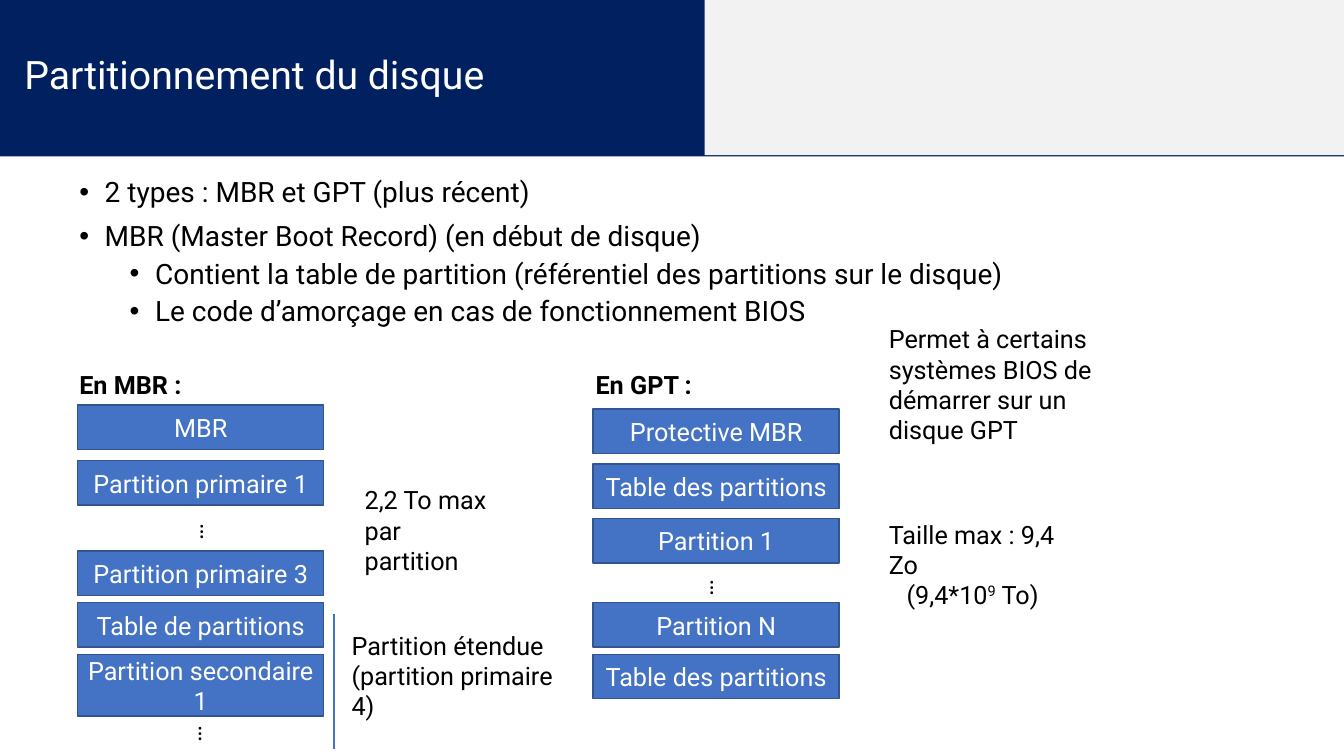
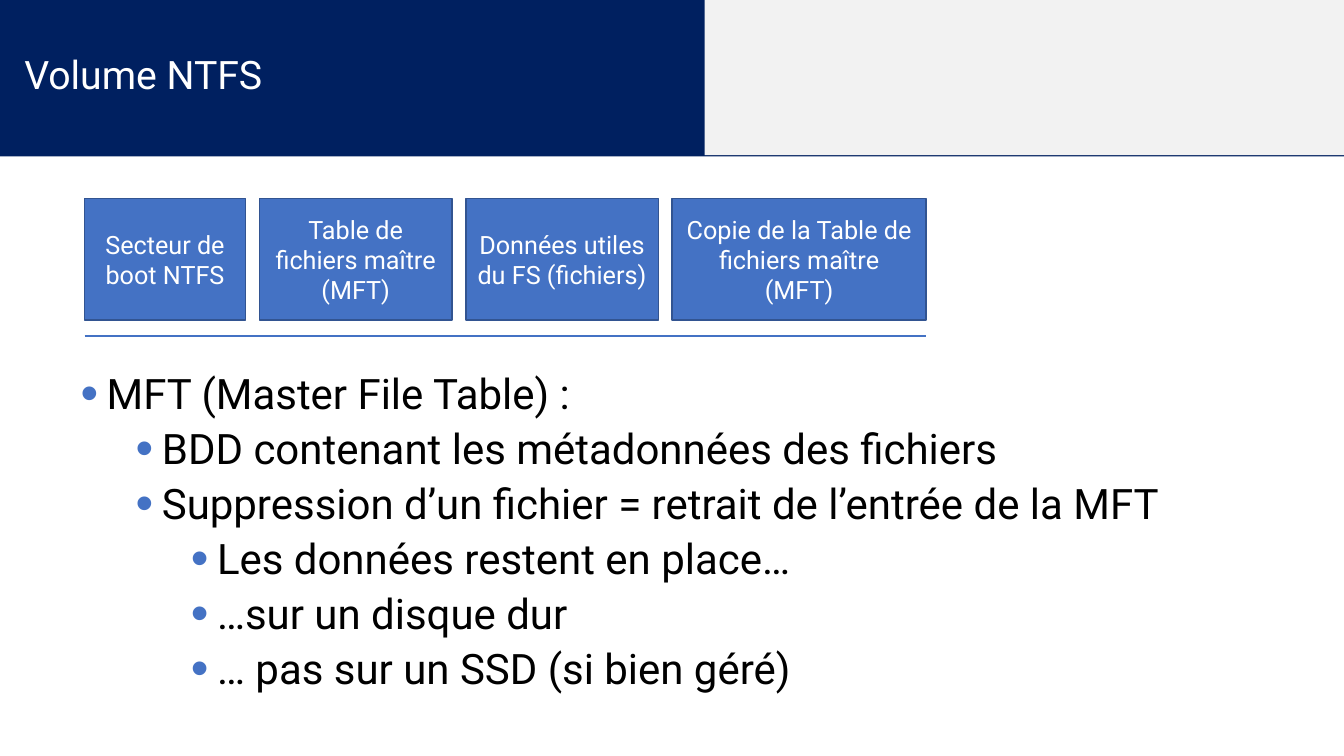
from dataclasses import dataclass
from itertools import chain

from lxml.etree import SubElement
from pptx import Presentation
from pptx.dml.color import RGBColor
from pptx.enum.shapes import MSO_CONNECTOR, MSO_SHAPE
from pptx.enum.text import MSO_ANCHOR, MSO_AUTO_SIZE, PP_ALIGN
from pptx.oxml.ns import qn
from pptx.shapes.autoshape import Shape
from pptx.slide import Slide, SlideLayout
from pptx.text.text import TextFrame
from pptx.util import Cm, Pt


@dataclass(frozen=True)
class Theme:
    font: str = "Roboto"
    navy: str = "002060"
    pale: str = "F2F2F2"
    blue: str = "4472C4"
    edge: str = "325491"
    white: str = "FFFFFF"
    black: str = "000000"
    title: int = 28
    large: int = 30
    list: int = 20
    body: int = 18


@dataclass(frozen=True)
class Box:
    x: float
    y: float
    w: float
    h: float


@dataclass(frozen=True)
class Bit:
    text: str
    bold: bool = False
    sup: bool = False


@dataclass(frozen=True)
class Para:
    bits: tuple[Bit, ...]
    level: int = 0
    align: PP_ALIGN = PP_ALIGN.LEFT


@dataclass(frozen=True)
class Bullet:
    hang: float
    step: float
    gaps: tuple[float, ...]
    color: str = ""
    scale: int = 100


@dataclass(frozen=True)
class Block:
    text: str
    box: Box


@dataclass(frozen=True)
class Label:
    paras: tuple[Para, ...]
    box: Box


THEME = Theme()
WIDE, HIGH = 33.87, 19.05


def line(text: str, level: int = 0, align: PP_ALIGN = PP_ALIGN.LEFT, bold: bool = False) -> Para:
    return Para((Bit(text, bold),), level, align)


def write(
    frame: TextFrame,
    paras: tuple[Para, ...],
    size: int,
    color: str,
    bullet: Bullet | None = None,
    space: float = 1.0,
) -> None:
    for rank, para in enumerate(paras):
        item = frame.add_paragraph() if rank else frame.paragraphs[0]
        item.level = para.level
        item.alignment = para.align
        item.line_spacing = space
        item.space_before = Pt(bullet.gaps[para.level] if bullet and rank else 0)
        if bullet:
            props = item._p.get_or_add_pPr()
            props.set("marL", str(Cm(bullet.hang + bullet.step * para.level)))
            props.set("indent", str(-Cm(bullet.hang)))
            if bullet.color:
                tint = SubElement(props, qn("a:buClr"))
                SubElement(tint, qn("a:srgbClr"), val=bullet.color)
            SubElement(props, qn("a:buSzPct"), val=str(bullet.scale * 1000))
            SubElement(props, qn("a:buFont"), typeface="Arial")
            SubElement(props, qn("a:buChar"), char="•")
        for bit in para.bits:
            run = item.add_run()
            run.text = bit.text
            font = run.font
            font.name = THEME.font
            font.size = Pt(size)
            font.bold = bit.bold
            font.color.rgb = RGBColor.from_string(color)
            if bit.sup:
                font._element.set("baseline", "30000")


def place(shape: Shape, box: Box) -> None:
    shape.left, shape.top = Cm(box.x), Cm(box.y)
    shape.width, shape.height = Cm(box.w), Cm(box.h)


def panel(slide: Slide, box: Box, fill: str, edge: str = "") -> Shape:
    shape = slide.shapes.add_shape(
        MSO_SHAPE.RECTANGLE, Cm(box.x), Cm(box.y), Cm(box.w), Cm(box.h)
    )
    shape.shadow.inherit = False
    shape.fill.solid()
    shape.fill.fore_color.rgb = RGBColor.from_string(fill)
    if edge:
        shape.line.color.rgb = RGBColor.from_string(edge)
        shape.line.width = Pt(1)
    else:
        shape.line.fill.background()
    return shape


def block(slide: Slide, part: Block) -> None:
    frame = panel(slide, part.box, THEME.blue, THEME.edge).text_frame
    frame.word_wrap = True
    frame.vertical_anchor = MSO_ANCHOR.MIDDLE
    write(frame, (line(part.text, align=PP_ALIGN.CENTER),), THEME.body, THEME.white)


def label(slide: Slide, box: Box) -> TextFrame:
    frame = slide.shapes.add_textbox(Cm(box.x), Cm(box.y), Cm(box.w), Cm(box.h)).text_frame
    frame.word_wrap = True
    return frame


def dots(slide: Slide, x: float, y: float) -> None:
    frame = label(slide, Box(x, y, 1.37, 0.84))
    frame.word_wrap = False
    frame._txBody.bodyPr.set("vert", "eaVert")
    write(frame, (line("…"),), THEME.body, THEME.black)


def rule(slide: Slide, x: float, y: float, end: float, base: float) -> None:
    link = slide.shapes.add_connector(MSO_CONNECTOR.STRAIGHT, Cm(x), Cm(y), Cm(end), Cm(base))
    link.line.color.rgb = RGBColor.from_string(THEME.blue)
    link.line.width = Pt(1.5)
    SubElement(link._element.spPr, qn("a:effectLst"))


def bands(slide: Slide, layout: SlideLayout) -> None:
    parts = (
        (Box(0, 0, WIDE, 3.94), THEME.navy),
        (Box(17.76, 0, WIDE - 17.76, 3.91), THEME.pale),
    )
    for rank, (box, fill) in enumerate(parts):
        layout.shapes.element.insert(2 + rank, panel(slide, box, fill).element)


def head(slide: Slide, text: str) -> None:
    title = slide.shapes.title
    place(title, Box(0.36, 0.41, 18.16, 3.07))
    frame = title.text_frame
    frame.word_wrap = True
    frame.auto_size = MSO_AUTO_SIZE.NONE
    frame.vertical_anchor = MSO_ANCHOR.MIDDLE
    write(frame, (line(text),), THEME.title, THEME.white, space=0.9)


def stack(x: float, rows: tuple[tuple[str, float], ...]) -> tuple[Block, ...]:
    return tuple(Block(text, Box(x, y, 6.2, 1.12)) for text, y in rows)


def disk(slide: Slide) -> None:
    head(slide, "Partitionnement du disque")
    points = (
        line("2 types : MBR et GPT (plus récent)"),
        line("MBR (Master Boot Record) (en début de disque)"),
        line("Contient la table de partition (référentiel des partitions sur le disque)", 1),
        line("Le code d’amorçage en cas de fonctionnement BIOS", 1),
    )
    frame = label(slide, Box(1.75, 4.37, 24.74, 5.16))
    write(frame, points, THEME.list, THEME.black, Bullet(0.64, 1.27, (10, 5)), 0.9)

    low, pitch = 13.89, 1.3
    left, right = 1.96, 14.95
    mbr = stack(left, (
        ("MBR", 10.21),
        ("Partition primaire 1", 11.61),
        ("Partition primaire 3", low),
        ("Table de partitions", low + pitch),
    ))
    gpt = stack(right, (
        ("Protective MBR", 10.31),
        ("Table des partitions", 11.69),
        ("Partition 1", 13.07),
        ("Partition N", low + pitch),
        ("Table des partitions", low + 2 * pitch),
    ))
    last = Block("Partition secondaire 1", Box(left, low + 2 * pitch, 6.2, 1.55))
    for part in chain(mbr, (last,), gpt):
        block(slide, part)
    for x, y in ((4.45, 12.95), (4.4, 18.03), (17.3, 14.35)):
        dots(slide, x, y)
    rule(slide, 8.41, 15.47, 8.41, 18.87)

    power = Para((Bit("(9,4*10"), Bit("9", sup=True), Bit(" To)")), align=PP_ALIGN.CENTER)
    notes = (
        Label((line("En MBR :", bold=True),), Box(1.75, 9.19, 3.4, 1.12)),
        Label((line("En GPT :", bold=True),), Box(14.76, 9.19, 3.2, 1.12)),
        Label((line("2,2 To max"), line("par partition")), Box(8.94, 12.09, 3.68, 1.96)),
        Label(
            (line("Partition étendue"), line("(partition primaire 4)")),
            Box(8.61, 15.75, 5.74, 1.96),
        ),
        Label(
            (line("Permet à certains systèmes BIOS de démarrer sur un disque GPT"),),
            Box(22.15, 8.03, 5.79, 3.68),
        ),
        Label((line("Taille max : 9,4 Zo"), power), Box(22.15, 12.95, 4.72, 1.96)),
    )
    for note in notes:
        write(label(slide, note.box), note.paras, THEME.body, THEME.black)


def volume(slide: Slide) -> None:
    head(slide, "Volume NTFS")
    start, gap = 2.13, 0.35
    x = start
    for text, width in (
        ("Secteur de boot NTFS", 4.06),
        ("Table de fichiers maître (MFT)", 4.85),
        ("Données utiles du FS (fichiers)", 4.85),
        ("Copie de la Table de fichiers maître (MFT)", 6.4),
    ):
        block(slide, Block(text, Box(x, 5, width, 3.07)))
        x += width + gap
    rule(slide, start, 8.46, x - gap, 8.46)

    points = (
        line("MFT (Master File Table) :"),
        line("BDD contenant les métadonnées des fichiers", 1),
        line("Suppression d’un fichier = retrait de l’entrée de la MFT", 1),
        line("Les données restent en place…", 2),
        line("…sur un disque dur", 2),
        line("… pas sur un SSD (si bien géré)", 2),
    )
    frame = label(slide, Box(1.78, 9.14, 30.33, 8.48))
    mark = Bullet(0.66, 1.39, (3.3, 3.3, 3.3), THEME.blue, 120)
    write(frame, points, THEME.large, THEME.black, mark)


def main() -> None:
    deck = Presentation()
    deck.slide_width, deck.slide_height = Cm(WIDE), Cm(HIGH)
    layout = deck.slide_layouts[5]
    first = deck.slides.add_slide(layout)
    bands(first, layout)
    disk(first)
    volume(deck.slides.add_slide(layout))
    deck.save("out.pptx")


if __name__ == "__main__":
    main()
